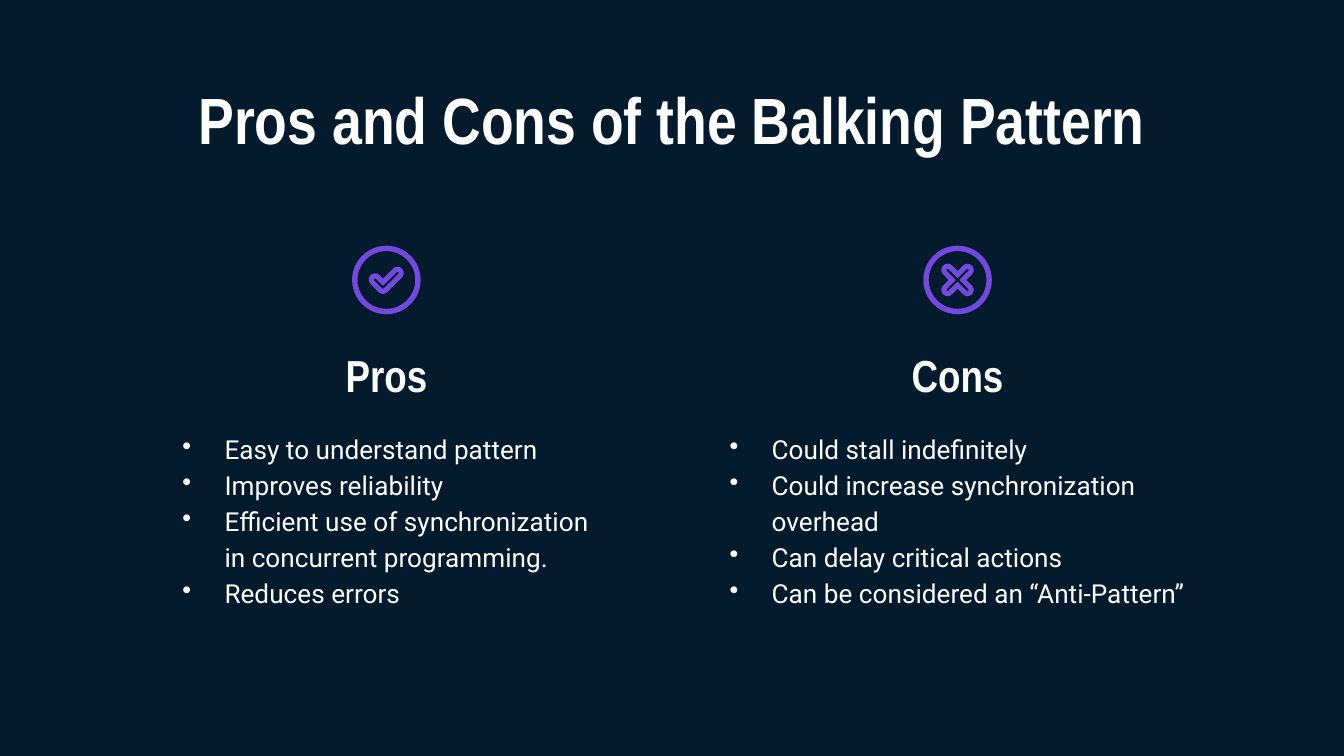
"""Build the slide on the pros and cons of the Balking pattern."""
from dataclasses import dataclass
from math import cos, radians, sin, sqrt

from lxml.etree import SubElement
from pptx import Presentation
from pptx.dml.color import RGBColor
from pptx.enum.shapes import MSO_SHAPE
from pptx.enum.text import MSO_ANCHOR, PP_ALIGN
from pptx.oxml.ns import qn
from pptx.util import Pt


@dataclass(frozen=True)
class Theme:
    background: str = "031B2D"
    text: str = "FFFFFF"
    accent: str = "7449DD"
    heading_font: str = "Arial Narrow"
    body_font: str = "Roboto"
    title_size: int = 35
    heading_size: int = 24
    body_size: int = 14
    spacing: float = 1.15
    indent: float = 22.5
    line_width: float = 0.75


def arc(cx, cy, r, start, end):
    return [(cx + r * cos(radians(a)), cy + r * sin(radians(a)))
            for a in range(start, end + 1, 15)]


def rounded_outline(cx, cy, arms, r):
    points = []
    following = arms[1:] + [(arms[0][0] + 360, arms[0][1])]
    for (angle, length), (after, _) in zip(arms, following):
        tip_x = cx + length * cos(radians(angle))
        tip_y = cy + length * sin(radians(angle))
        points += arc(tip_x, tip_y, r, angle - 90, angle + 90)
        if after - angle == 90:
            points += arc(cx, cy, r * sqrt(2), angle + 45, angle + 45)
        else:
            points += arc(cx, cy, r, angle + 90, after - 90)
    return [(Pt(x), Pt(y)) for x, y in points]


class SlideBuilder:
    def __init__(self, prs, theme):
        self.theme = theme
        self.s = prs.slides.add_slide(prs.slide_layouts[6])
        fill = self.s.background.fill
        fill.solid()
        fill.fore_color.rgb = RGBColor.from_string(theme.background)

    def text(self, box, lines, font, paragraph=None, bullet=None,
             anchor=MSO_ANCHOR.TOP):
        tf = self.s.shapes.add_textbox(*map(Pt, box)).text_frame
        frame = dict.fromkeys(("margin_left", "margin_top", "margin_right",
                               "margin_bottom"), Pt(7.2))
        frame.update(word_wrap=True, vertical_anchor=anchor)
        for name, value in frame.items():
            setattr(tf, name, value)
        for i, line in enumerate(lines):
            p = tf.add_paragraph() if i else tf.paragraphs[0]
            for name, value in (paragraph or {}).items():
                setattr(p, name, value)
            if bullet:
                self.bullet(p, bullet)
            r = p.add_run()
            r.text = line
            for name, value in font.items():
                setattr(r.font, name, value)
            r.font.color.rgb = RGBColor.from_string(self.theme.text)

    def bullet(self, p, char):
        pPr = p._p.get_or_add_pPr()
        pPr.set("marL", str(Pt(self.theme.indent)))
        pPr.set("indent", str(-Pt(self.theme.indent)))
        color = SubElement(pPr, qn("a:buClr"))
        SubElement(color, qn("a:srgbClr"), val=self.theme.text)
        SubElement(pPr, qn("a:buChar"), char=char)

    def title(self, box, words):
        font = dict(name=self.theme.heading_font, bold=True,
                    size=Pt(self.theme.title_size))
        self.text(box, [words], font, dict(alignment=PP_ALIGN.CENTER))

    def heading(self, box, words):
        font = dict(name=self.theme.heading_font, bold=True,
                    size=Pt(self.theme.heading_size))
        paragraph = dict(alignment=PP_ALIGN.CENTER,
                         line_spacing=self.theme.spacing)
        self.text(box, [words], font, paragraph, anchor=MSO_ANCHOR.BOTTOM)

    def bullets(self, box, lines):
        font = dict(name=self.theme.body_font, size=Pt(self.theme.body_size))
        paragraph = dict(alignment=PP_ALIGN.LEFT,
                         line_spacing=self.theme.spacing)
        self.text(box, lines, font, paragraph, bullet="•")

    def paint(self, sp):
        color = RGBColor.from_string(self.theme.accent)
        sp.shadow.inherit = False
        sp.fill.solid()
        sp.fill.fore_color.rgb = color
        sp.line.color.rgb = color
        sp.line.width = Pt(self.theme.line_width)

    def ring(self, cx, cy, radius):
        box = (cx - radius, cy - radius, 2 * radius, 2 * radius)
        sp = self.s.shapes.add_shape(MSO_SHAPE.DONUT, *map(Pt, box))
        sp.adjustments[0] = 0.06
        self.paint(sp)

    def mark(self, cx, cy, arms):
        outer, inner = (rounded_outline(cx, cy, arms, r) for r in (3, 1))
        builder = self.s.shapes.build_freeform(*outer[0])
        builder.add_line_segments(outer[1:])
        builder.move_to(*inner[0])
        builder.add_line_segments(inner[1:])
        self.paint(builder.convert_to_shape())


def main():
    prs = Presentation()
    prs.slide_width, prs.slide_height = Pt(720), Pt(405)
    slide = SlideBuilder(prs, Theme())
    slide.title((56.7, 35.3, 607, 45.4), "Pros and Cons of the Balking Pattern")

    check = (-1.8, 4.1, [(225, 6), (315, 11)])
    cross = (0, 0, [(angle, 7.5) for angle in (45, 135, 225, 315)])
    columns = [
        ("Pros", 207, check, 90.7, 233.3, [
            "Easy to understand pattern",
            "Improves reliability",
            "Efficient use of synchronization in concurrent programming.",
            "Reduces errors"]),
        ("Cons", 513, cross, 383.8, 257.8, [
            "Could stall indefinitely",
            "Could increase synchronization overhead",
            "Can delay critical actions",
            "Can be considered an “Anti-Pattern”"]),
    ]
    icon_y, heading_width = 150, 208
    for name, center, (dx, dy, arms), left, width, lines in columns:
        slide.bullets((left, 222.5, width, 93), lines)
        slide.heading((center - heading_width / 2, 178.5, heading_width, 44), name)
        slide.ring(center, icon_y, 18)
        slide.mark(center + dx, icon_y + dy, arms)
    prs.save("out.pptx")


if __name__ == "__main__":
    main()
